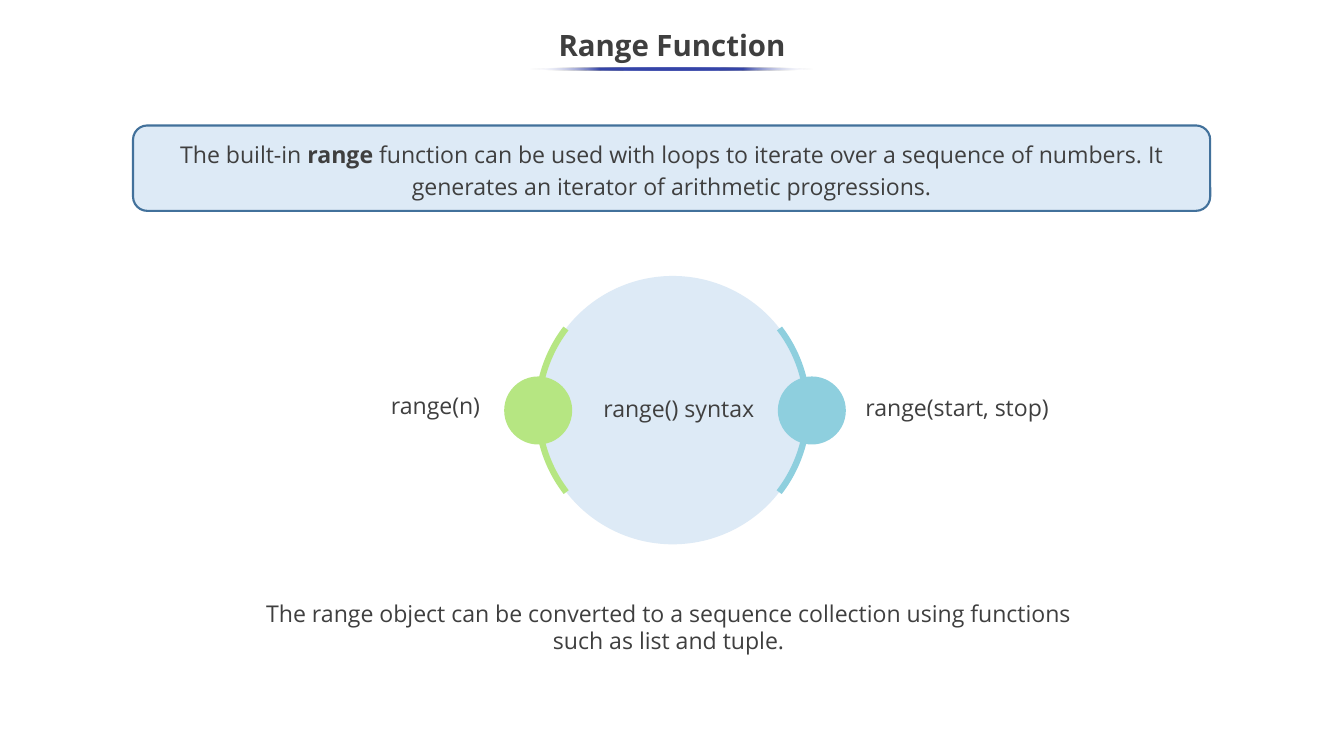
from dataclasses import dataclass

from lxml.etree import SubElement
from pptx import Presentation
from pptx.dml.color import RGBColor
from pptx.enum.shapes import MSO_SHAPE
from pptx.enum.text import MSO_ANCHOR, PP_ALIGN
from pptx.oxml.ns import qn
from pptx.util import Pt

PX = 9144  # EMU per px, 100 px to the inch


@dataclass(frozen=True)
class Theme:
    font: str = "Open Sans"
    ink: str = "3F3F3F"
    pale: str = "DDEAF6"
    edge: str = "42719B"
    green: str = "B6E682"
    teal: str = "8ECFDE"
    rule: str = "3645A9"
    white: str = "FFFFFF"
    head: int = 28
    body: int = 22
    border: int = 2
    band: int = 6


class Deck:
    def __init__(self, theme, width, height):
        self.theme = theme
        self.file = Presentation()
        self.file.slide_width = width * PX
        self.file.slide_height = height * PX
        self.slide = self.file.slides.add_slide(self.file.slide_layouts[5])

    def label(self, shape, runs, size, align=PP_ALIGN.CENTER, space=1.0, bold=None):
        """Fill a shape with one paragraph; runs are (text, bold) pairs."""
        frame = shape.text_frame
        frame.word_wrap = True
        frame.vertical_anchor = MSO_ANCHOR.MIDDLE
        para = frame.paragraphs[0]
        para.alignment, para.line_spacing = align, space
        font = para.font
        font.name, font.size, font.bold = self.theme.font, Pt(size), bold
        font.color.rgb = RGBColor.from_string(self.theme.ink)
        for text, strong in runs:
            run = para.add_run()
            run.text = text
            if strong:
                run.font.bold = True

    def title(self, text, *box):
        shape = self.slide.shapes.title
        shape.left, shape.top, shape.width, shape.height = (n * PX for n in box)
        self.label(shape, [(text, False)], self.theme.head, space=0.9, bold=True)

    def shape(self, kind, *box, fill=None, line=None, width=0):
        shape = self.slide.shapes.add_shape(kind, *(n * PX for n in box))
        shape.shadow.inherit = False
        if fill:
            shape.fill.solid()
            shape.fill.fore_color.rgb = RGBColor.from_string(fill)
        else:
            shape.fill.background()
        if line:
            shape.line.color.rgb = RGBColor.from_string(line)
            shape.line.width = Pt(width)
        else:
            shape.line.fill.background()
        return shape

    def arc(self, *box, start, end, color):
        """Draw an arc clockwise from start to end, in degrees."""
        arc = self.shape(MSO_SHAPE.ARC, *box, line=color, width=self.theme.band)
        for i, angle in enumerate((start, end)):
            arc.adjustments[i] = angle * 0.6

    def text(self, text, *box, align=PP_ALIGN.CENTER):
        shape = self.slide.shapes.add_textbox(*(n * PX for n in box))
        self.label(shape, [(text, False)], self.theme.body, align)

    def glow(self, *box, color):
        """Draw a thin rule that fades out at both ends."""
        shape = self.shape(MSO_SHAPE.OVAL, *box)
        shape.fill.gradient()
        shape.fill.gradient_angle = 0
        tree = shape.element.spPr.find(qn("a:gradFill")).find(qn("a:gsLst"))
        for stop in list(tree):
            tree.remove(stop)
        ends = self.theme.white
        for pos, tone in ((0, ends), (25, color), (50, color), (75, color), (100, ends)):
            stop = SubElement(tree, qn("a:gs"), pos=str(pos * 1000))
            clr = SubElement(stop, qn("a:srgbClr"), val=tone)
            if tone == ends:
                SubElement(clr, qn("a:alpha"), val="0")


def main():
    theme = Theme()
    deck = Deck(theme, 1778, 1000)

    # Title and its rule
    deck.title("Range Function", -1, 25, 1780, 75)
    deck.glow(701, 89, 375, 4, color=theme.rule)

    # Definition
    card = deck.shape(MSO_SHAPE.ROUNDED_RECTANGLE, 176, 166, 1425, 113,
                      fill=theme.pale, line=theme.edge, width=theme.border)
    deck.label(card, [
        ("The built-in ", False),
        ("range", True),
        (" function can be used with loops to iterate over a sequence of numbers. "
         "It generates an iterator of arithmetic progressions.", False),
    ], theme.body, space=1.15)

    # Hub with one arc and knob on each side
    hub = (712, 365, 356, 355)
    deck.shape(MSO_SHAPE.OVAL, *hub, fill=theme.pale)
    sides = ((theme.teal, 1029, 322.6, 37.6), (theme.green, 667, 142.4, 217.4))
    for color, left, start, end in sides:
        deck.arc(*hub, start=start, end=end, color=color)
        deck.shape(MSO_SHAPE.OVAL, left, 498, 90, 90, fill=color)

    # Labels
    deck.text("range(n)", 479, 513, 166, 47, align=PP_ALIGN.RIGHT)
    deck.text("range() syntax", 786, 516, 224, 47)
    deck.text("range(start, stop)", 1135, 515, 329, 47, align=PP_ALIGN.LEFT)

    # Closing note
    deck.text("The range object can be converted to a sequence collection "
              "using functions such as list and tuple.", 319, 795, 1131, 68)

    deck.file.save("out.pptx")


if __name__ == "__main__":
    main()
